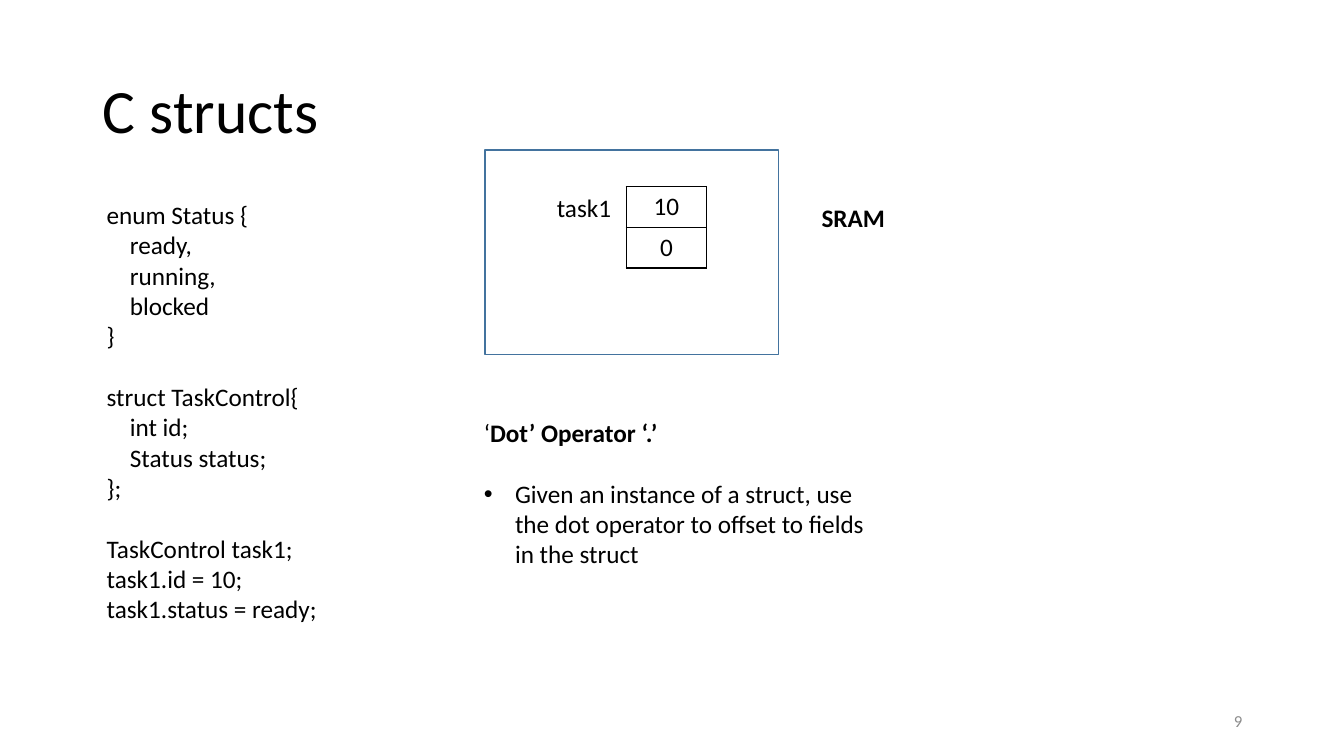
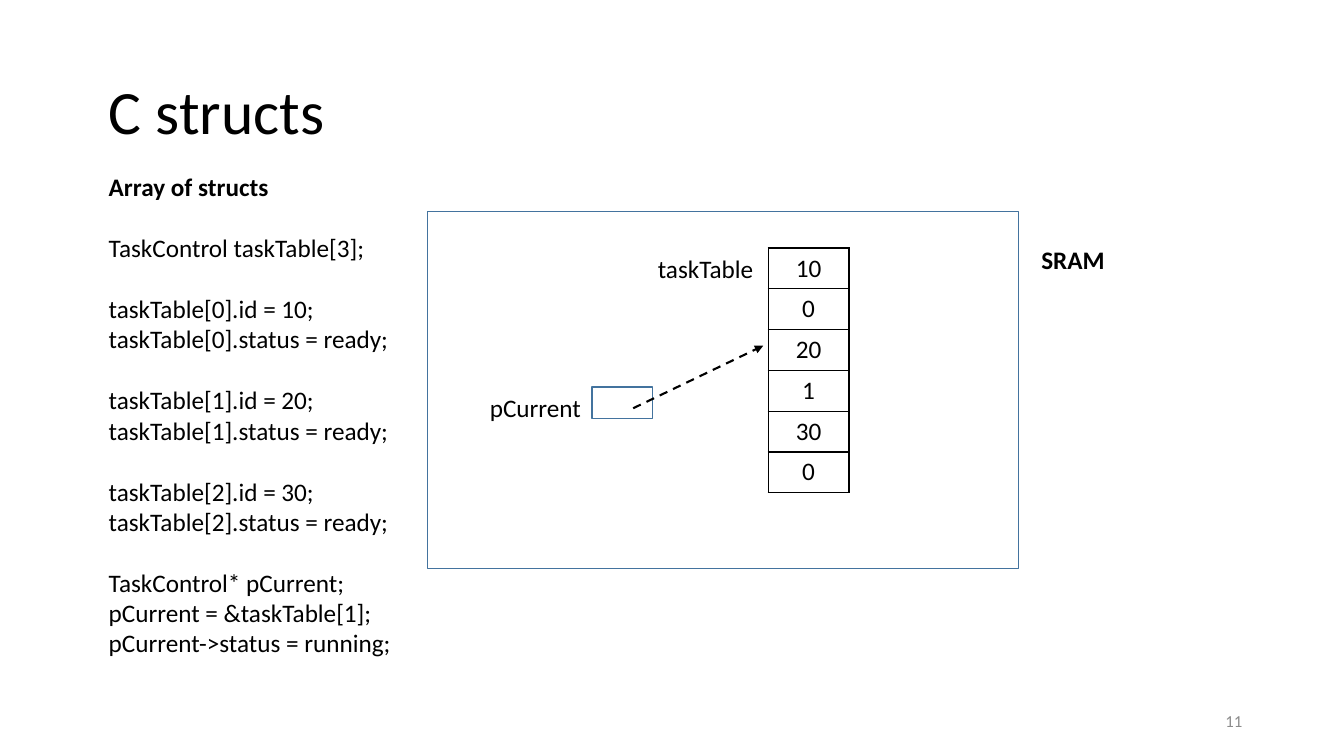
from lxml.etree import SubElement
from pptx import Presentation
from pptx.dml.color import RGBColor
from pptx.enum.dml import MSO_LINE
from pptx.enum.shapes import MSO_CONNECTOR, MSO_SHAPE
from pptx.enum.text import MSO_ANCHOR, PP_ALIGN
from pptx.oxml.ns import qn
from pptx.util import Inches, Pt

FONT = "Calibri"
BLACK, GRAY, BLUE = "000000", "8C8C8C", "43739E"
BODY_SIZE = 18
BLANK_LINE = Pt(22)
CODE_INDENT = Inches(0.23)
BULLET_INDENT = Inches(0.31)
CELL_WIDTH = 0.8
STRUCT_HEIGHT = 0.81
FIELDS_PER_STRUCT = 2
LABEL_HEIGHT = 0.4

# Code and notes are groups of lines, with a gap between groups.
# A leading tab indents a line, a leading bullet makes a list item,
# and text after "**" is bold.
SLIDES = [
    {
        "title": ("C structs", (0.92, 0.4, 11.5, 1.45)),
        "number": "9",
        "texts": [
            ((0.96, 1.93, 2.6, 4.64), [
                ["enum Status {", "\tready,", "\trunning,", "\tblocked", "}"],
                ["struct TaskControl{", "\tint id;", "\tStatus status;", "};"],
                ["TaskControl task1;", "task1.id = 10;", "task1.status = ready;"],
            ]),
            ((4.7, 4.09, 4.08, 1.62), [
                ["‘**Dot’ Operator ‘.’"],
                ["•Given an instance of a struct, use the dot operator "
                 "to offset to fields in the struct"],
            ]),
        ],
        "boxes": [(4.81, 1.49, 2.91, 2.03)],
        "labels": [("task1", (5.31, 1.86, 0.85, LABEL_HEIGHT))],
        "memory": ((6.21, 1.85), [10, 0]),
        "sram": (8.05, 1.96, 0.84, LABEL_HEIGHT),
        "pointers": [],
    },
    {
        "title": ("C structs", (0.98, 0.41, 11.5, 1.45)),
        "number": "11",
        "texts": [
            ((0.98, 1.65, 3.61, 5.55), [
                ["**Array of structs"],
                ["TaskControl taskTable[3];"],
                ["taskTable[0].id = 10;", "taskTable[0].status = ready;"],
                ["taskTable[1].id = 20;", "taskTable[1].status = ready;"],
                ["taskTable[2].id = 30;", "taskTable[2].status = ready;"],
                ["TaskControl* pCurrent;", "pCurrent = &taskTable[1];",
                 "pCurrent->status = running;"],
            ]),
        ],
        "boxes": [(4.24, 2.1, 5.86, 3.54), (5.87, 3.84, 0.6, 0.31)],
        "labels": [
            ("taskTable", (5.84, 2.46, 1.73, LABEL_HEIGHT)),
            ("pCurrent", (4.64, 3.84, 1.22, LABEL_HEIGHT)),
        ],
        "memory": ((7.62, 2.46), [10, 0, 20, 1, 30, 0]),
        "sram": (10.23, 2.37, 0.84, LABEL_HEIGHT),
        "pointers": [(6.28, 4.05, 7.57, 3.43)],
    },
]


def inches(values):
    return [Inches(value) for value in values]


def color(hex_string):
    return RGBColor.from_string(hex_string)


def add_run(paragraph, text, size=BODY_SIZE, hex_color=BLACK, bold=False):
    run = paragraph.add_run()
    run.text = text
    for name, value in {"name": FONT, "size": Pt(size), "bold": bold}.items():
        setattr(run.font, name, value)
    run.font.color.rgb = color(hex_color)


def add_text_frame(slide, place, wrap=True, anchor=MSO_ANCHOR.TOP):
    frame = slide.shapes.add_textbox(*inches(place)).text_frame
    frame.word_wrap = wrap
    frame.vertical_anchor = anchor
    return frame


def add_label(slide, text, place, align=PP_ALIGN.LEFT, wrap=True,
              anchor=MSO_ANCHOR.TOP, **run_format):
    paragraph = add_text_frame(slide, place, wrap, anchor).paragraphs[0]
    paragraph.alignment = align
    add_run(paragraph, text, **run_format)


def indent_paragraph(paragraph, left, first_line=0, bullet=None):
    properties = paragraph._p.get_or_add_pPr()
    properties.set("marL", str(left))
    properties.set("indent", str(first_line))
    if bullet:
        SubElement(properties, qn("a:buFont"), typeface="Arial")
        SubElement(properties, qn("a:buChar"), char=bullet)


def add_groups(slide, place, groups):
    frame = add_text_frame(slide, place)
    paragraph = None
    for group in groups:
        for position, line in enumerate(group):
            if paragraph is None:
                paragraph = frame.paragraphs[0]
            else:
                paragraph = frame.add_paragraph()
                paragraph.space_before = Pt(0) if position else BLANK_LINE
            if line.startswith("\t"):
                indent_paragraph(paragraph, CODE_INDENT)
            elif line.startswith("•"):
                indent_paragraph(paragraph, BULLET_INDENT, -BULLET_INDENT, "•")
            plain, _, strong = line.lstrip("\t•").partition("**")
            for text, bold in ((plain, False), (strong, True)):
                if text:
                    add_run(paragraph, text, bold=bold)


def add_box(slide, place):
    box = slide.shapes.add_shape(MSO_SHAPE.RECTANGLE, *inches(place))
    box.shadow.inherit = False
    box.fill.background()
    box.line.color.rgb = color(BLUE)
    box.line.width = Pt(1)


def add_borders(cell):
    properties = cell._tc.get_or_add_tcPr()
    for position, side in enumerate(("lnL", "lnR", "lnT", "lnB")):
        border = SubElement(properties, qn(f"a:{side}"), w=str(Pt(1)))
        fill = SubElement(border, qn("a:solidFill"))
        SubElement(fill, qn("a:srgbClr"), val=BLACK)
        properties.insert(position, border)


def add_memory(slide, corner, values):
    """Draw one column of memory, one cell for each struct field."""
    height = STRUCT_HEIGHT * len(values) / FIELDS_PER_STRUCT
    table = slide.shapes.add_table(
        len(values), 1, *inches((*corner, CELL_WIDTH, height))).table
    table.first_row = table.horz_banding = False
    for cell, value in zip(table.iter_cells(), values):
        cell.fill.background()
        add_borders(cell)
        paragraph = cell.text_frame.paragraphs[0]
        paragraph.alignment = PP_ALIGN.CENTER
        add_run(paragraph, str(value))


def add_pointer(slide, ends):
    arrow = slide.shapes.add_connector(MSO_CONNECTOR.STRAIGHT, *inches(ends))
    arrow.line.color.rgb = color(BLACK)
    arrow.line.width = Pt(1.5)
    arrow.line.dash_style = MSO_LINE.DASH
    properties = arrow._element.spPr
    SubElement(properties.find(qn("a:ln")), qn("a:tailEnd"), type="triangle")
    SubElement(properties, qn("a:effectLst"))


def set_title(slide, text, place):
    title = slide.shapes.title
    title.left, title.top, title.width, title.height = inches(place)
    title.text_frame.vertical_anchor = MSO_ANCHOR.MIDDLE
    paragraph = title.text_frame.paragraphs[0]
    paragraph.alignment = PP_ALIGN.LEFT
    paragraph.line_spacing = 0.9
    add_run(paragraph, text, size=44)


def build_slide(presentation, content):
    slide = presentation.slides.add_slide(presentation.slide_layouts[5])
    set_title(slide, *content["title"])
    add_label(slide, content["number"], (9.42, 6.95, 3, 0.4), PP_ALIGN.RIGHT,
              anchor=MSO_ANCHOR.MIDDLE, size=12, hex_color=GRAY)
    for place, groups in content["texts"]:
        add_groups(slide, place, groups)
    for place in content["boxes"]:
        add_box(slide, place)
    for text, place in content["labels"]:
        add_label(slide, text, place, PP_ALIGN.RIGHT)
    add_memory(slide, *content["memory"])
    for ends in content["pointers"]:
        add_pointer(slide, ends)
    add_label(slide, "SRAM", content["sram"], wrap=False, bold=True)


def main():
    presentation = Presentation()
    presentation.slide_width = Inches(13.33)
    presentation.slide_height = Inches(7.5)
    for content in SLIDES:
        build_slide(presentation, content)
    presentation.save("out.pptx")


if __name__ == "__main__":
    main()
